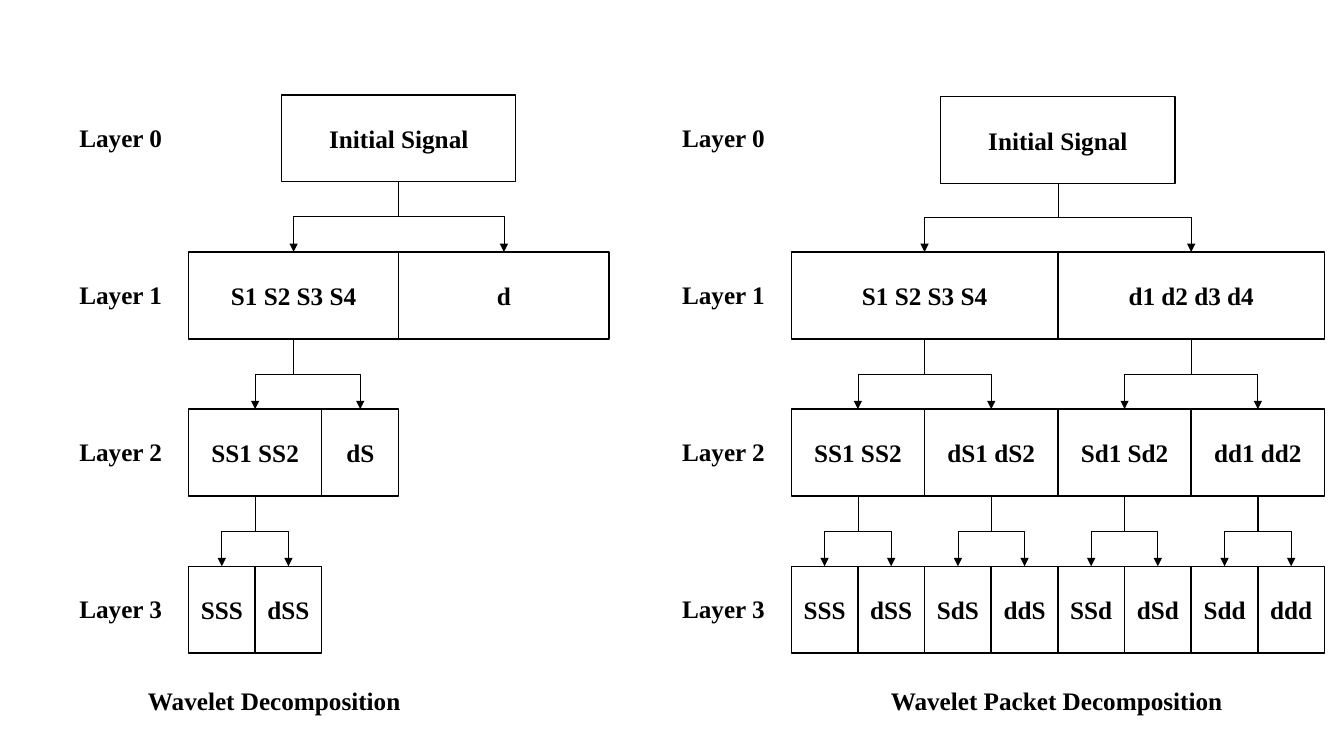
from lxml import etree
from pptx import Presentation
from pptx.dml.color import RGBColor
from pptx.enum.shapes import MSO_CONNECTOR, MSO_SHAPE
from pptx.enum.text import MSO_ANCHOR, PP_ALIGN
from pptx.oxml.ns import qn
from pptx.util import Cm, Pt

COLORS = {"ink": "000000", "paper": "FFFFFF"}
INK, PAPER = (RGBColor.from_string(COLORS[name]) for name in ("ink", "paper"))

# Layout in centimetres
ROW_TOP, ROW_PITCH, ROW_HEIGHT = 2.39, 3.96, 2.19
LABEL_TOP, LABEL_PITCH = 2.97, 3.95
LABEL_WIDTH, LABEL_HEIGHT = 2.62, 1.02
CAPTION_TOP = 17.15
ROOT_WIDTH, UNIT = 5.9, 1.68  # UNIT is the width of one layer 3 box

# Below the root, box number i is a child of box number i // 2 one layer up
TREES = [
    {"caption": "Wavelet Decomposition", "caption_left": 3.48, "caption_width": 7,
     "label_left": 1.75, "left": 4.75, "root_top": ROW_TOP, "root_center": 10.05,
     "layers": [[("S1 S2 S3 S4", 5.3), ("d", 5.3)],
                [("SS1 SS2", 2 * UNIT), ("dS", 1.94)],
                [("SSS", UNIT), ("dSS", UNIT)]]},
    {"caption": "Wavelet Packet Decomposition", "caption_left": 22.2, "caption_width": 9,
     "label_left": 16.94, "left": 19.94, "root_top": 2.44, "root_center": 26.66,
     "layers": [[(text, 4 * UNIT) for text in ("S1 S2 S3 S4", "d1 d2 d3 d4")],
                [(text, 2 * UNIT) for text in ("SS1 SS2", "dS1 dS2", "Sd1 Sd2", "dd1 dd2")],
                [(text, UNIT) for text in
                 ("SSS", "dSS", "SdS", "ddS", "SSd", "dSd", "Sdd", "ddd")]]},
]

prs = Presentation()
prs.slide_width, prs.slide_height = Cm(33.87), Cm(19.05)
slide = prs.slides.add_slide(prs.slide_layouts[6])


def add_text(text, left, top, width, height, boxed=False):
    """Add bold text, either plain or centred in an outlined box."""
    frame = [Cm(value) for value in (left, top, width, height)]
    if boxed:
        shape = slide.shapes.add_shape(MSO_SHAPE.RECTANGLE, *frame)
        shape.shadow.inherit = False
        shape.fill.solid()
        shape.fill.fore_color.rgb = PAPER
        shape.line.color.rgb = INK
        shape.line.width = Pt(1)
        shape.text_frame.vertical_anchor = MSO_ANCHOR.MIDDLE
    else:
        shape = slide.shapes.add_textbox(*frame)
    shape.text_frame.word_wrap = False
    paragraph = shape.text_frame.paragraphs[0]
    paragraph.alignment = PP_ALIGN.CENTER if boxed else PP_ALIGN.LEFT
    run = paragraph.add_run()
    run.text = text
    run.font.name, run.font.size, run.font.bold = "Times New Roman", Pt(18), True
    run.font.color.rgb = INK
    return shape


def add_branch(parent, child):
    """Join a parent's bottom to a child's top: down, across, down."""
    x1, y1 = parent.left + parent.width // 2, parent.top + parent.height
    x2, y2 = child.left + child.width // 2, child.top
    branch = slide.shapes.add_connector(MSO_CONNECTOR.ELBOW, x1, y1, x2, y2)
    branch.begin_connect(parent, 2)
    branch.end_connect(child, 0)
    branch.line.color.rgb = INK
    branch.line.width = Pt(0.5)

    # An elbow starts sideways, so it is turned a quarter about its centre
    run, drop = abs(x2 - x1), y2 - y1
    branch.left, branch.top = (x1 + x2 - drop) // 2, (y1 + y2 - run) // 2
    branch.width, branch.height = drop, run
    properties = branch._element.spPr
    xfrm = properties.find(qn("a:xfrm"))
    for flip in ("flipH", "flipV"):
        xfrm.attrib.pop(flip, None)
    xfrm.set("rot", str((90 if x2 < x1 else 270) * 60000))
    if x2 > x1:
        xfrm.set("flipH", "1")

    # Arrowhead and no shadow
    etree.SubElement(properties.find(qn("a:ln")), qn("a:tailEnd"), type="triangle")
    etree.SubElement(properties, qn("a:effectLst"))


for tree in TREES:
    # Layer labels
    for number in range(4):
        add_text(f"Layer {number}", tree["label_left"], LABEL_TOP + number * LABEL_PITCH,
                 LABEL_WIDTH, LABEL_HEIGHT)

    # Root, then each layer of boxes with the branches leading to it
    parents = [add_text("Initial Signal", tree["root_center"] - ROOT_WIDTH / 2,
                        tree["root_top"], ROOT_WIDTH, ROW_HEIGHT, boxed=True)]
    for number, layer in enumerate(tree["layers"], start=1):
        boxes, left = [], tree["left"]
        for text, width in layer:
            boxes.append(add_text(text, left, ROW_TOP + number * ROW_PITCH,
                                  width, ROW_HEIGHT, boxed=True))
            left += width
        for index, box in enumerate(boxes):
            add_branch(parents[index // 2], box)
        parents = boxes

    # Caption
    add_text(tree["caption"], tree["caption_left"], CAPTION_TOP,
             tree["caption_width"], LABEL_HEIGHT)

prs.save("out.pptx")
